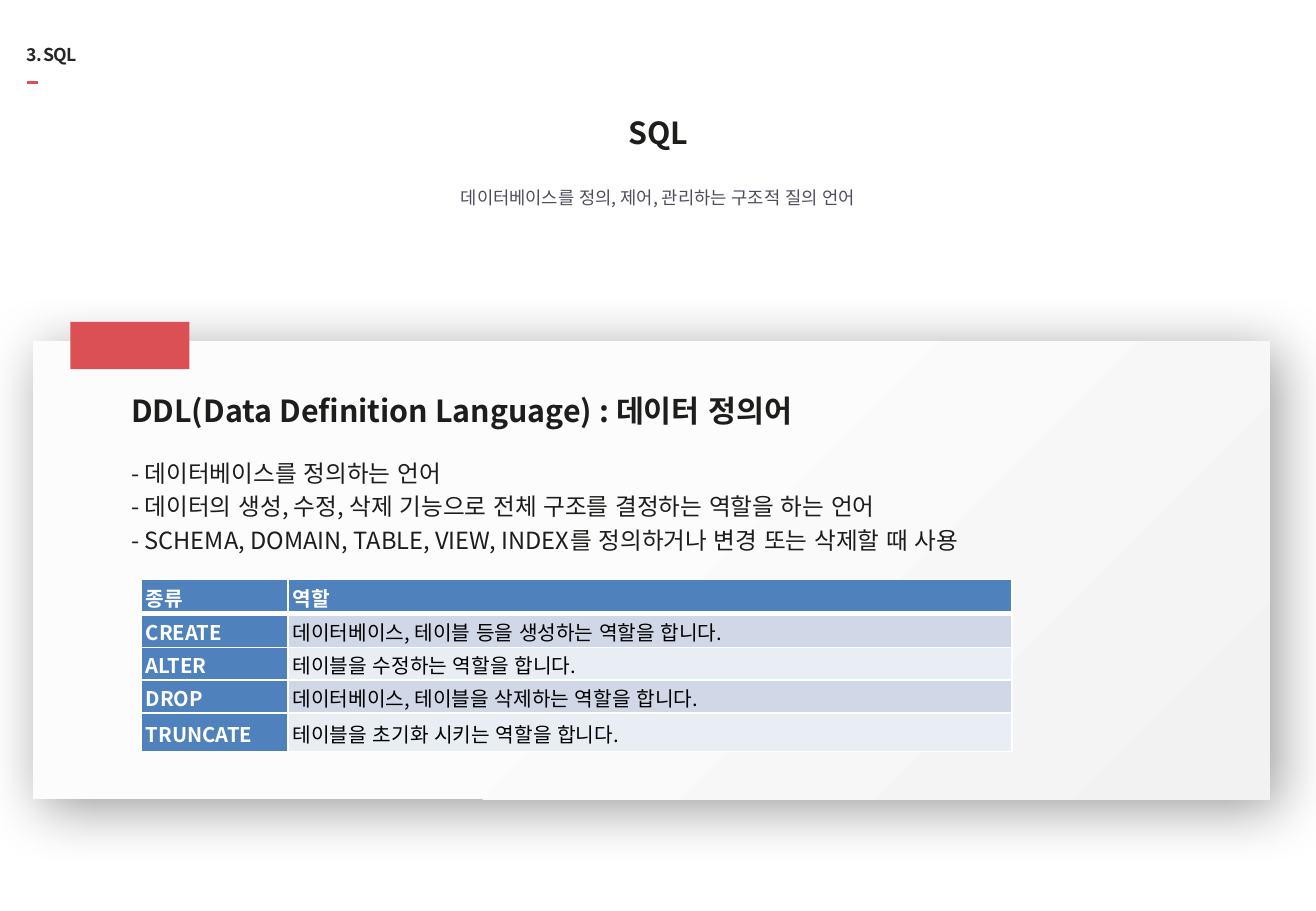
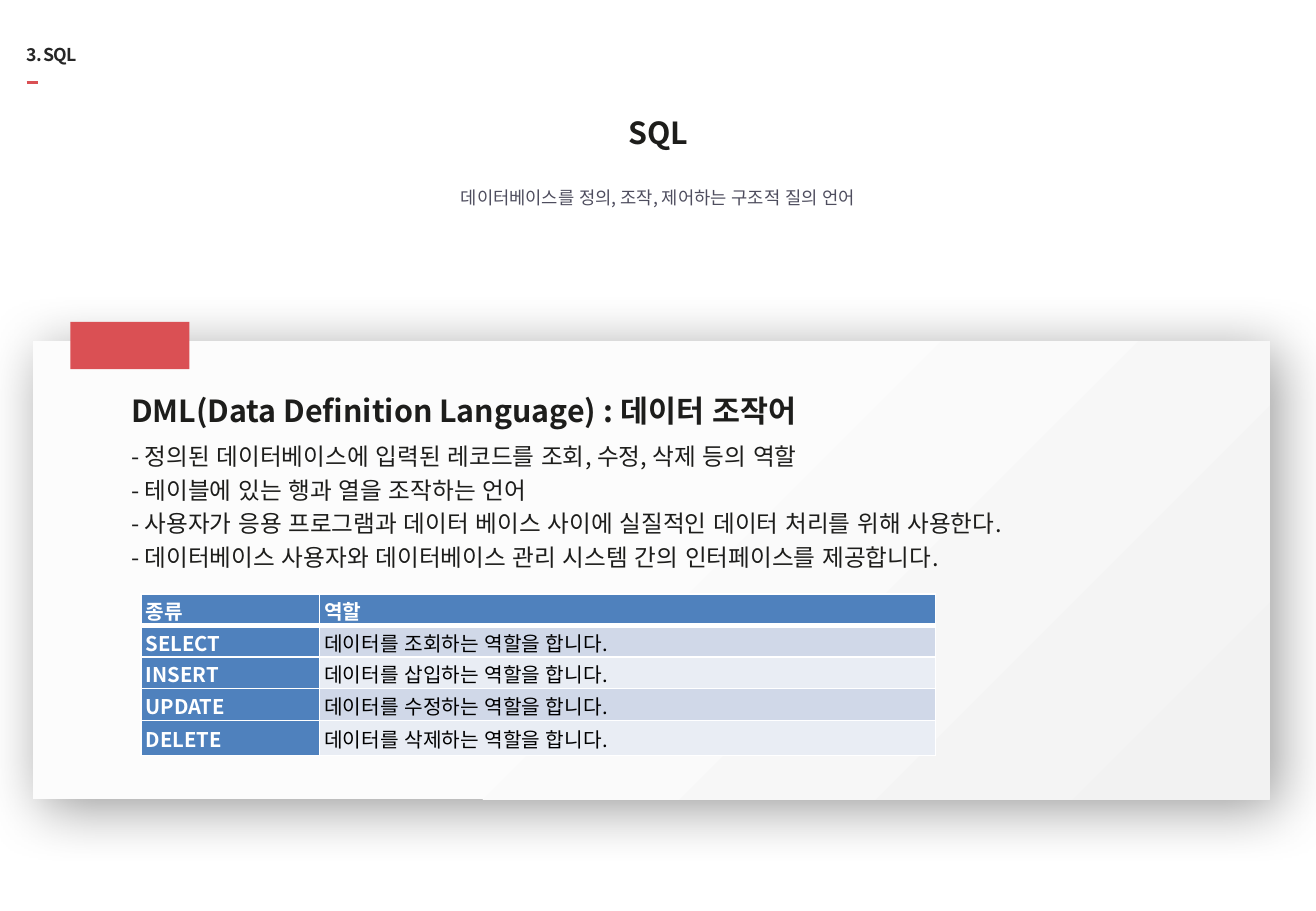
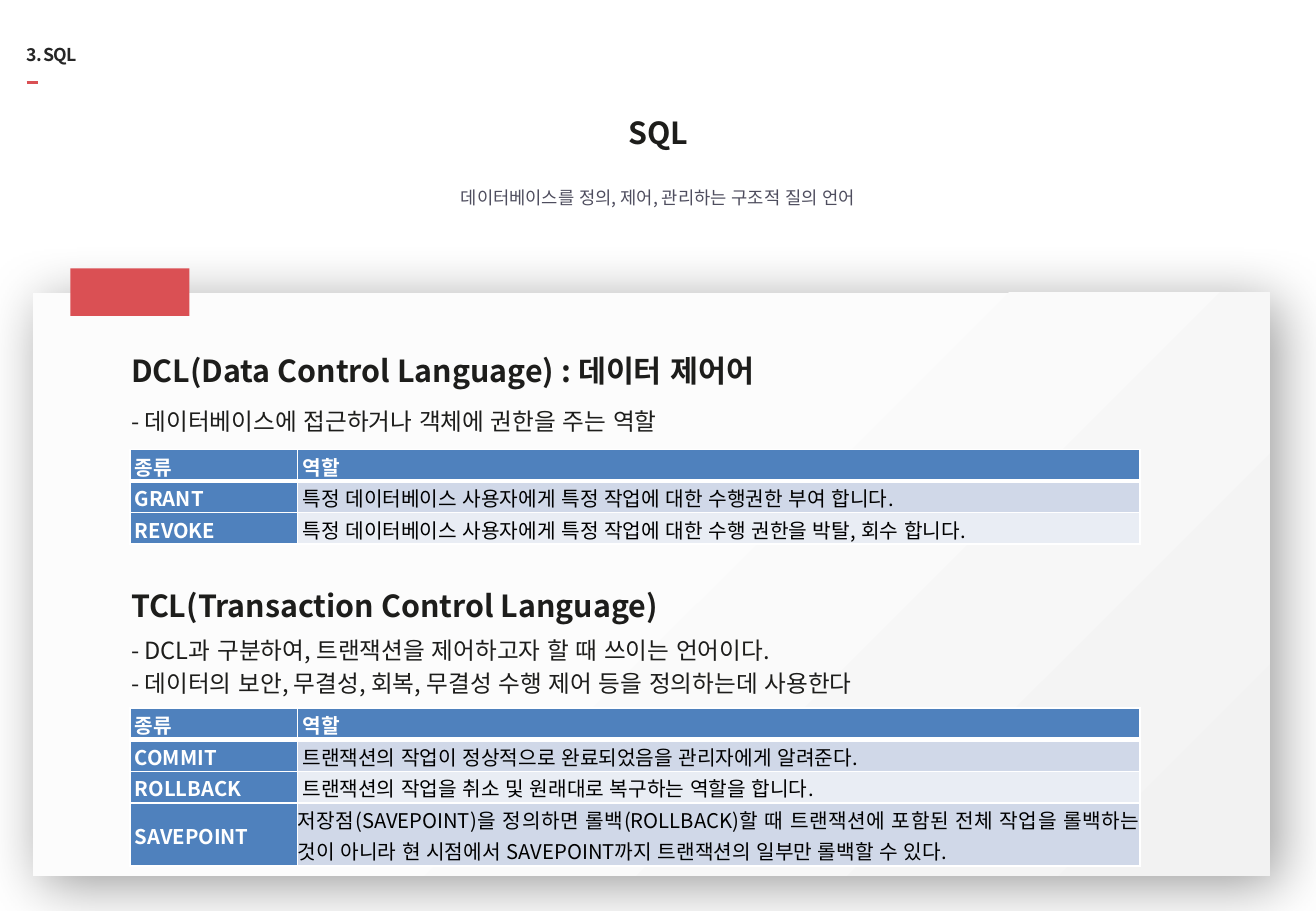
import pptx
import pptx.dml.color
import pptx.enum.shapes
import pptx.enum.text
import pptx.oxml.ns
import pptx.util
from dataclasses import dataclass
from lxml import etree

Inches, Pt = pptx.util.Inches, pptx.util.Pt
qn = pptx.oxml.ns.qn
ALIGN = pptx.enum.text.PP_ALIGN
MIDDLE = pptx.enum.text.MSO_ANCHOR.MIDDLE
RECT = pptx.enum.shapes.MSO_SHAPE.RECTANGLE
LINE = pptx.enum.shapes.MSO_CONNECTOR.STRAIGHT


@dataclass(frozen=True)
class Theme:
    font: str = "Noto Sans CJK KR"
    red: str = "DA5054"
    ink: str = "1D1D1B"
    mark: str = "262626"
    muted: str = "4E4D5E"
    white: str = "FFFFFF"
    black: str = "000000"
    blue: str = "4F81BD"
    bands: tuple = ("D0D8E8", "E9EDF4")
    panel: tuple = ((0.42, "FCFCFC"), (1, "F2F2F2"))
    title: float = 18
    body: float = 14
    cell: float = 12
    small: float = 10.5


THEME = Theme()
HEADER = ("종류", "역할")
MANAGE = "데이터베이스를 정의, 제어, 관리하는 구조적 질의 언어"

SLIDES = [
    dict(
        lead=MANAGE, panel=(2.81, 3.77), tag=2.65,
        parts=[dict(
            head="DDL(Data Definition Language) : 데이터 정의어", top=3.19,
            notes=["- 데이터베이스를 정의하는 언어",
                   "- 데이터의 생성, 수정, 삭제 기능으로 전체 구조를 결정하는 역할을 하는 언어",
                   "- SCHEMA, DOMAIN, TABLE, VIEW, INDEX를 정의하거나 변경 또는 삭제할 때 사용"],
            area=(3.57, 1.2), grid=(1.16, 4.77), cols=(1.21, 5.96),
            heights=(0.28, 0.28, 0.27, 0.27, 0.32),
            rows=[("CREATE", "데이터베이스, 테이블 등을 생성하는 역할을 합니다."),
                  ("ALTER", "테이블을 수정하는 역할을 합니다."),
                  ("DROP", "데이터베이스, 테이블을 삭제하는 역할을 합니다."),
                  ("TRUNCATE", "테이블을 초기화 시키는 역할을 합니다.")])]),
    dict(
        lead="데이터베이스를 정의, 조작, 제어하는 구조적 질의 언어",
        panel=(2.81, 3.77), tag=2.65,
        parts=[dict(
            head="DML(Data Definition Language) : 데이터 조작어", top=3.19,
            notes=["- 정의된 데이터베이스에 입력된 레코드를 조회, 수정, 삭제 등의 역할",
                   "- 테이블에 있는 행과 열을 조작하는 언어",
                   "- 사용자가 응용 프로그램과 데이터 베이스 사이에 실질적인 데이터 처리를 위해 사용한다.",
                   "- 데이터베이스 사용자와 데이터베이스 관리 시스템 간의 인터페이스를 제공합니다."],
            area=(3.57, 1.2), grid=(1.16, 4.89), cols=(1.47, 5.07),
            heights=(0.26, 0.26, 0.26, 0.26, 0.29),
            rows=[("SELECT", "데이터를 조회하는 역할을 합니다."),
                  ("INSERT", "데이터를 삽입하는 역할을 합니다."),
                  ("UPDATE", "데이터를 수정하는 역할을 합니다."),
                  ("DELETE", "데이터를 삭제하는 역할을 합니다.")])]),
    dict(
        lead=MANAGE, panel=(2.41, 4.8), tag=2.21,
        parts=[dict(
            head="DCL(Data Control Language) : 데이터 제어어", top=2.86,
            notes=["- 데이터베이스에 접근하거나 객체에 권한을 주는 역할"],
            area=(3.24, 0.46), grid=(1.07, 3.7), cols=(1.38, 6.93),
            heights=(0.26, 0.26, 0.26),
            rows=[("GRANT", "특정 데이터베이스 사용자에게 특정 작업에 대한 수행권한 부여 합니다."),
                  ("REVOKE", "특정 데이터베이스 사용자에게 특정 작업에 대한 수행 권한을 박탈, 회수 합니다.")]),
            dict(
            head="TCL(Transaction Control Language)", top=4.79,
            notes=["- DCL과 구분하여, 트랜잭션을 제어하고자 할 때 쓰이는 언어이다.",
                   "- 데이터의 보안, 무결성, 회복, 무결성 수행 제어 등을 정의하는데 사용한다"],
            area=(5.26, 0.46), grid=(1.07, 5.83), cols=(1.38, 6.93),
            heights=(0.26, 0.26, 0.26, 0.52),
            rows=[("COMMIT", "트랜잭션의 작업이 정상적으로 완료되었음을 관리자에게 알려준다."),
                  ("ROLLBACK", "트랜잭션의 작업을 취소 및 원래대로 복구하는 역할을 합니다."),
                  ("SAVEPOINT", "저장점(SAVEPOINT)을 정의하면 롤백(ROLLBACK)할 때 트랜잭션에 포함된 "
                   "전체 작업을 롤백하는 것이 아니라 현 시점에서 SAVEPOINT까지 "
                   "트랜잭션의 일부만 롤백할 수 있다.")])]),
]


def rgb(code):
    return pptx.dml.color.RGBColor.from_string(code)


def add_run(para, text, size, color, bold=False):
    run = para.add_run()
    run.text = text
    font = run.font
    font.name, font.size, font.bold = THEME.font, Pt(size), bold
    font.color.rgb = rgb(color)
    font._element.set("lang", "ko-KR")
    etree.SubElement(font._element, qn("a:ea"), typeface=THEME.font)
    return run


def add_text(slide, box, lines, size, color=THEME.ink, bold=False,
             align=ALIGN.LEFT):
    frame = slide.shapes.add_textbox(*map(Inches, box)).text_frame
    frame.word_wrap = True
    frame.vertical_anchor = MIDDLE
    for i, line in enumerate(lines):
        para = frame.paragraphs[0] if i == 0 else frame.add_paragraph()
        para.alignment = align
        para.space_after = Pt(3)
        add_run(para, line, size, color, bold)
    return frame


def add_rect(slide, box):
    shape = slide.shapes.add_shape(RECT, *map(Inches, box))
    shape.shadow.inherit = False
    shape.line.fill.background()
    return shape


def add_panel(slide, top, height):
    """Gradient card with a soft shadow."""
    card = add_rect(slide, (0.27, top, 10.18, height))
    card.fill.gradient()
    card.fill.gradient_angle = 315
    for stop, (place, color) in zip(card.fill.gradient_stops, THEME.panel):
        stop.position = place
        stop.color.rgb = rgb(color)
    effects = card._element.spPr.find(qn("a:effectLst"))
    shade = etree.SubElement(
        effects, qn("a:outerShdw"), blurRad=str(Pt(35)), dist=str(Pt(8)),
        dir=str(45 * 60000), algn="ctr", rotWithShape="0")
    tint = etree.SubElement(shade, qn("a:srgbClr"), val=THEME.black)
    etree.SubElement(tint, qn("a:alpha"), val="40000")


def add_edges(cell, bottom):
    """White cell borders; bottom is the width of the lower one."""
    props = cell._tc.get_or_add_tcPr()
    for side, width in (("L", 1), ("R", 1), ("T", 1), ("B", bottom)):
        edge = etree.SubElement(props, qn("a:ln" + side), w=str(Pt(width)))
        fill = etree.SubElement(edge, qn("a:solidFill"))
        etree.SubElement(fill, qn("a:srgbClr"), val=THEME.white)


def fill_cell(cell, text, row, col):
    strong = row == 0 or col == 0
    wraps = len(text) > 60
    cell.margin_left = Inches(0 if wraps else 0.04)
    cell.margin_right = cell.margin_top = cell.margin_bottom = 0
    cell.vertical_anchor = MIDDLE
    add_edges(cell, 3 if row == 0 else 1)
    cell.fill.solid()
    cell.fill.fore_color.rgb = rgb(
        THEME.blue if strong else THEME.bands[(row - 1) % 2])
    para = cell.text_frame.paragraphs[0]
    para.alignment = ALIGN.JUSTIFY
    para.line_spacing = 1.07
    para.space_after = Pt(8)
    add_run(para, text, THEME.cell,
            THEME.white if strong else THEME.black, strong)


def add_grid(slide, part):
    rows = [HEADER] + part["rows"]
    cols, heights = part["cols"], part["heights"]
    box = (*part["grid"], sum(cols), sum(heights))
    table = slide.shapes.add_table(
        len(rows), len(cols), *map(Inches, box)).table
    for col, width in zip(table.columns, cols):
        col.width = Inches(width)
    for r, (texts, height) in enumerate(zip(rows, heights)):
        table.rows[r].height = Inches(height)
        for c, text in enumerate(texts):
            fill_cell(table.cell(r, c), text, r, c)


def add_top(slide, lead):
    """Section mark, red dash, centred title and lead line."""
    dash = slide.shapes.add_connector(
        LINE, *map(Inches, (0.22, 0.68, 0.31, 0.68)))
    dash.line.color.rgb = rgb(THEME.red)
    dash.line.width = Pt(2)
    etree.SubElement(dash._element.spPr, qn("a:effectLst"))
    mark = add_text(slide, (0.22, 0.25, 2.99, 0.4), ["3. SQL"],
                    THEME.small, THEME.mark, True)
    mark.margin_left = mark.margin_right = 0
    mark.paragraphs[0].runs[0].font._element.set("spc", "-60")
    add_text(slide, (1.44, 0.9, 7.95, 0.38), ["SQL"], THEME.title,
             bold=True, align=ALIGN.CENTER)
    add_text(slide, (1.44, 1.5, 7.95, 0.25), [lead], THEME.small,
             THEME.muted, align=ALIGN.CENTER)


def main():
    deck = pptx.Presentation()
    deck.slide_width, deck.slide_height = Inches(10.83), Inches(7.5)
    for page in SLIDES:
        slide = deck.slides.add_slide(deck.slide_layouts[6])
        add_top(slide, page["lead"])
        add_panel(slide, *page["panel"])
        tag = add_rect(slide, (0.58, page["tag"], 0.98, 0.39))
        tag.fill.solid()
        tag.fill.fore_color.rgb = rgb(THEME.red)
        for part in page["parts"]:
            top, height = part["area"]
            add_text(slide, (0.98, part["top"], 8.61, 0.38), [part["head"]],
                     THEME.title, bold=True)
            add_text(slide, (0.98, top, 8.61, height), part["notes"],
                     THEME.body)
            add_grid(slide, part)
    deck.save("out.pptx")


if __name__ == "__main__":
    main()
